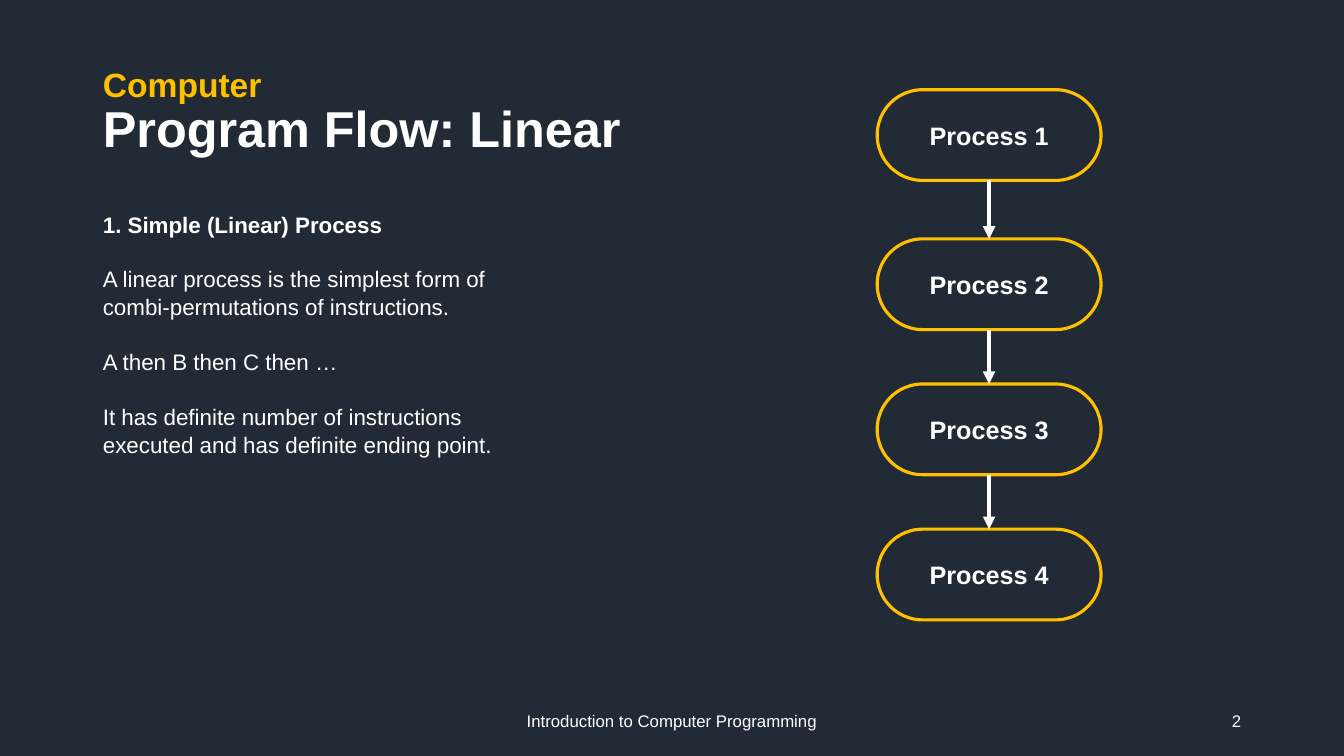
from itertools import pairwise

from pptx import Presentation
from pptx.dml.color import RGBColor
from pptx.enum.shapes import MSO_CONNECTOR as Connector, MSO_SHAPE as Shape
from pptx.enum.text import MSO_ANCHOR as Anchor, MSO_AUTO_SIZE as AutoSize, PP_ALIGN as Align
from pptx.oxml.ns import qn
from pptx.util import Inches, Pt
from lxml.etree import SubElement

WIDTH, HEIGHT = 13.33, 7.5
NAVY, GOLD, WHITE = "222A35", "FFC000", "FFFFFF"
MARGIN = 0.92
TOP, BOTTOM = 0, 2

LINEAR_TEXT = [
    "1. Simple (Linear) Process",
    "A linear process is the simplest form of combi-permutations of instructions.",
    "A then B then C then …",
    "It has definite number of instructions executed and has definite ending point.",
]


def color(hex_code):
    """Return the colour for a hex string."""
    return RGBColor.from_string(hex_code)


def apply(target, values):
    """Set each attribute in values on the target."""
    for attribute, value in values.items():
        setattr(target, attribute, value)


def place(part, box):
    """Move a part to a box of left, top, width and height in inches."""
    apply(part, dict(zip(("left", "top", "width", "height"), map(Inches, box))))


def write(paragraph, words, size, hex_code=WHITE, bold=False):
    """Add one formatted run to a paragraph."""
    run = paragraph.add_run()
    apply(run, {"text": words})
    apply(run.font, {"name": "Arial", "size": Pt(size), "bold": bold})
    run.font.color.rgb = color(hex_code)


def add_heading(slide, box):
    """Fill the title placeholder with its gold and white lines."""
    heading = slide.shapes.title
    place(heading, box)
    apply(heading.text_frame, {"vertical_anchor": Anchor.MIDDLE, "word_wrap": True,
                               "auto_size": AutoSize.NONE})
    lines = heading.text_frame.paragraphs[0]
    apply(lines, {"alignment": Align.LEFT, "line_spacing": 0.9})
    write(lines, "Computer", 24, GOLD, True)
    lines.add_line_break()
    write(lines, "Program Flow: Linear", 36, WHITE, True)


def add_explanation(slide, box):
    """Fill the body placeholder with unbulleted paragraphs."""
    explanation = slide.placeholders[1]
    place(explanation, box)
    frame = explanation.text_frame
    apply(frame, {"vertical_anchor": Anchor.TOP, "word_wrap": True, "auto_size": AutoSize.NONE})
    for index, words in enumerate(LINEAR_TEXT):
        paragraph = frame.paragraphs[0] if index == 0 else frame.add_paragraph()
        apply(paragraph, {"alignment": Align.LEFT, "line_spacing": 1.04,
                          "space_before": Pt(0), "space_after": Pt(19.2)})
        properties = paragraph._p.get_or_add_pPr()
        for indent in ("marL", "indent"):
            properties.set(indent, "0")
        SubElement(properties, qn("a:buNone"))
        write(paragraph, words, 16, bold=index == 0)


def add_process(slide, label, box):
    """Draw one pill-shaped process step and return it."""
    step = slide.shapes.add_shape(Shape.ROUNDED_RECTANGLE, *map(Inches, box))
    step.adjustments[0] = 0.5
    step.shadow.inherit = False
    step.fill.background()
    step.line.color.rgb = color(GOLD)
    step.line.width = Pt(2.25)
    step.text_frame.vertical_anchor = Anchor.MIDDLE
    caption = step.text_frame.paragraphs[0]
    caption.alignment = Align.CENTER
    write(caption, label, 18, bold=True)
    return step


def add_arrow(slide, upper, lower):
    """Connect the bottom of one step to the top of the next."""
    arrow = slide.shapes.add_connector(Connector.STRAIGHT, 0, 0, 0, 0)
    arrow.begin_connect(upper, BOTTOM)
    arrow.end_connect(lower, TOP)
    arrow.line.color.rgb = color(WHITE)
    arrow.line.width = Pt(3)
    SubElement(arrow.line._get_or_add_ln(), qn("a:tailEnd"), type="triangle")
    SubElement(arrow._element.spPr, qn("a:effectLst"))


def add_flow(slide, box):
    """Stack the four processes in the box and link them with arrows."""
    left, top, width, height = box
    step_height, pitch = 0.9, 1.44
    last_top = top + height - step_height
    tops = [top] + [last_top - pitch * steps_left for steps_left in (2, 1, 0)]
    steps = [add_process(slide, f"Process {number}", (left, step_top, width, step_height))
             for number, step_top in enumerate(tops, 1)]
    for upper, lower in pairwise(steps):
        add_arrow(slide, upper, lower)


def add_footer(slide, box):
    """Place the centred course name and the page number on the right."""
    left, top, width, height = box
    course_width, page_width = 4.5, 3
    entries = [
        ("Introduction to Computer Programming", left + (width - course_width) / 2,
         course_width, Align.CENTER),
        ("2", left + width - page_width, page_width, Align.RIGHT),
    ]
    for words, entry_left, entry_width, alignment in entries:
        entry = slide.shapes.add_textbox(*map(Inches, (entry_left, top, entry_width, height)))
        apply(entry.text_frame, {"word_wrap": True, "vertical_anchor": Anchor.MIDDLE})
        paragraph = entry.text_frame.paragraphs[0]
        paragraph.alignment = alignment
        write(paragraph, words, 12)


def main():
    """Build the linear program flow slide."""
    deck = Presentation()
    apply(deck, {"slide_width": Inches(WIDTH), "slide_height": Inches(HEIGHT)})
    slide = deck.slides.add_slide(deck.slide_layouts[1])
    slide.background.fill.solid()
    slide.background.fill.fore_color.rgb = color(NAVY)
    content_width = WIDTH - 2 * MARGIN
    add_heading(slide, (MARGIN, 0.4, content_width, 1.45))
    add_explanation(slide, (MARGIN, 2.03, 4.11, 2.52))
    add_flow(slide, (8.7, 0.89, 2.22, 5.26))
    add_footer(slide, (MARGIN, 6.95, content_width, 0.4))
    deck.save("out.pptx")


if __name__ == "__main__":
    main()
